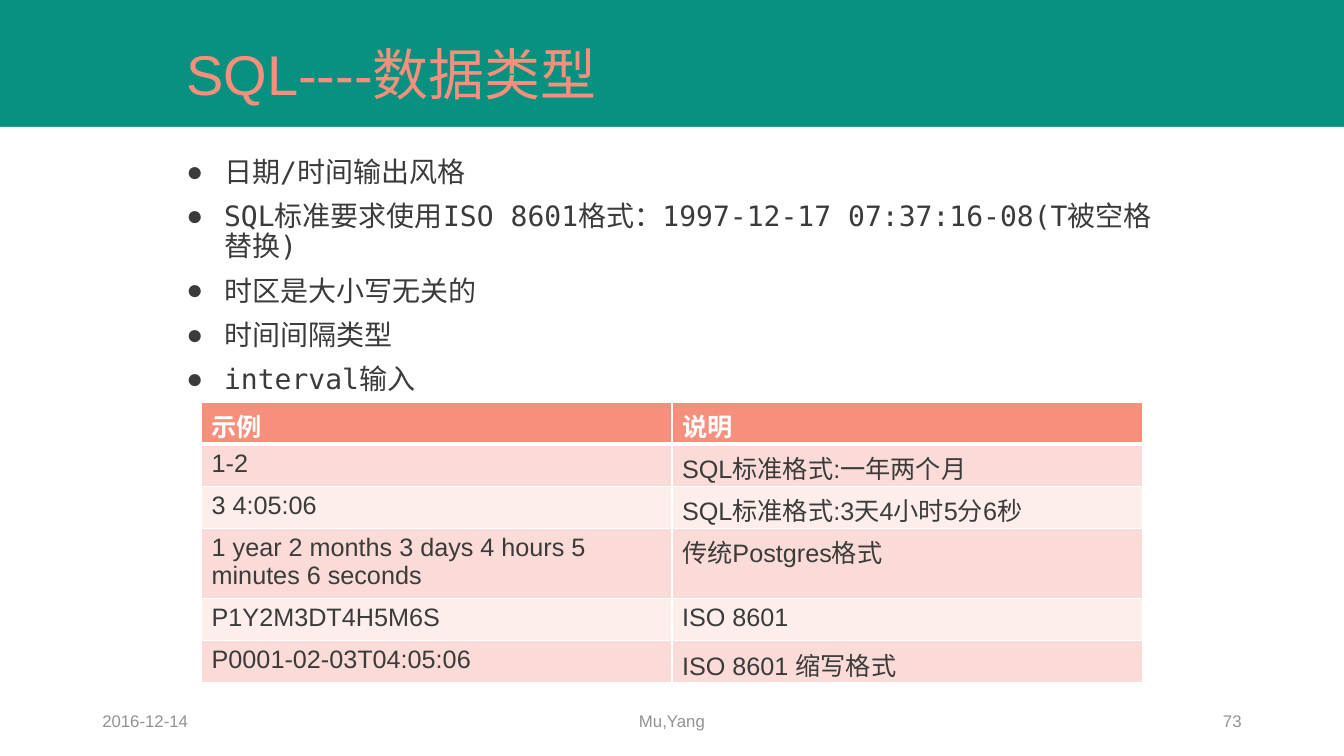
from lxml.etree import SubElement
from pptx import Presentation
from pptx.dml.color import RGBColor
from pptx.enum.shapes import MSO_SHAPE as Shape
from pptx.enum.text import MSO_ANCHOR as Anchor, PP_ALIGN as Align
from pptx.oxml.ns import qn
from pptx.util import Inches, Pt

SLIDE_WIDTH = Inches(13.333)
SLIDE_HEIGHT = Inches(7.5)
COLUMNS, ROWS = 160, 90

TEAL = RGBColor(0x07, 0x91, 0x80)
CORAL = RGBColor(0xF6, 0x8F, 0x7C)
PINK = RGBColor(0xFB, 0xDB, 0xD7)
PALE_PINK = RGBColor(0xFD, 0xEE, 0xEC)
WHITE = RGBColor(0xFF, 0xFF, 0xFF)
INK = RGBColor(0x3B, 0x3B, 0x3B)
GREY = RGBColor(0x92, 0x92, 0x92)

SANS = "Arial"
MONO = "DejaVu Sans Mono"

POINTS = [
    "日期/时间输出风格",
    "SQL标准要求使用ISO 8601格式：1997-12-17 07:37:16-08(T被空格替换)",
    "时区是大小写无关的",
    "时间间隔类型",
    "interval输入",
]
INTERVALS = [
    ("示例", "说明"),
    ("1-2", "SQL标准格式:一年两个月"),
    ("3 4:05:06", "SQL标准格式:3天4小时5分6秒"),
    ("1 year 2 months 3 days 4 hours 5 minutes 6 seconds", "传统Postgres格式"),
    ("P1Y2M3DT4H5M6S", "ISO 8601"),
    ("P0001-02-03T04:05:06", "ISO 8601 缩写格式"),
]
INTERVAL_ROWS = [5, 5, 5, 8.4, 5, 5]
FOOTERS = [
    ("2016-12-14", 11, 36, Align.LEFT),
    ("Mu,Yang", 53, 54, Align.CENTER),
    ("73", 113, 36, Align.RIGHT),
]


def across(columns):
    return round(SLIDE_WIDTH * columns / COLUMNS)


def down(rows):
    return round(SLIDE_HEIGHT * rows / ROWS)


def area(left, top, width, height):
    return across(left), down(top), across(width), down(height)


def add_run(paragraph, text, size, color, font=SANS, bold=False):
    run = paragraph.add_run()
    run.text = text
    run.font.size = Pt(size)
    run.font.name = font
    run.font.bold = bold
    run.font.color.rgb = color


def add_text_frame(slide, place, anchor=Anchor.MIDDLE):
    frame = slide.shapes.add_textbox(*area(*place)).text_frame
    frame.word_wrap = True
    frame.vertical_anchor = anchor
    return frame


def add_page(slide):
    slide.background.fill.solid()
    slide.background.fill.fore_color.rgb = TEAL
    page = slide.shapes.add_shape(Shape.RECTANGLE, *area(0, 15.12, COLUMNS, 74.88))
    page.shadow.inherit = False
    page.fill.solid()
    page.fill.fore_color.rgb = WHITE
    page.line.fill.background()


def add_title(slide, text):
    heading = add_text_frame(slide, (21, 2.16, 115.5, 14.16)).paragraphs[0]
    heading.line_spacing = 0.9
    add_run(heading, text, 40, CORAL)


def add_bullets(slide, points):
    frame = add_text_frame(slide, (21, 18.24, 120.4, 65.16), Anchor.TOP)
    for index, point in enumerate(points):
        bullet = frame.add_paragraph() if index else frame.paragraphs[0]
        bullet.line_spacing = 0.9
        bullet.space_before = Pt(10 if index else 0)
        properties = bullet._p.get_or_add_pPr()
        properties.set("marL", str(across(4.5)))
        properties.set("indent", str(-across(4.5)))
        SubElement(properties, qn("a:buFont"), typeface=SANS)
        SubElement(properties, qn("a:buChar"), char="●")
        add_run(bullet, point, 20, INK, MONO)


def add_border(cell, side, points):
    border = SubElement(cell._tc.get_or_add_tcPr(), qn(f"a:ln{side}"), w=str(Pt(points)))
    fill = SubElement(border, qn("a:solidFill"))
    SubElement(fill, qn("a:srgbClr"), val=str(WHITE))


def fill_cell(cell, text, row):
    header = row == 0
    for side in "LRTB":
        thick = (header and side == "B") or (row == 1 and side == "T")
        add_border(cell, side, 3 if thick else 1)
    cell.fill.solid()
    cell.fill.fore_color.rgb = CORAL if header else PINK if row % 2 else PALE_PINK
    add_run(cell.text_frame.paragraphs[0], text, 18, WHITE if header else INK, bold=header)


def add_interval_table(slide):
    place = area(24, 47.88, 112, sum(INTERVAL_ROWS))
    table = slide.shapes.add_table(len(INTERVALS), 2, *place).table
    for row, (texts, height) in enumerate(zip(INTERVALS, INTERVAL_ROWS)):
        table.rows[row].height = down(height)
        for column, text in enumerate(texts):
            fill_cell(table.cell(row, column), text, row)


def add_footer(slide, text, left, width, align):
    footer = add_text_frame(slide, (left, 83.4, width, 4.8)).paragraphs[0]
    footer.alignment = align
    add_run(footer, text, 12, GREY)


def main():
    deck = Presentation()
    deck.slide_width = SLIDE_WIDTH
    deck.slide_height = SLIDE_HEIGHT
    slide = deck.slides.add_slide(deck.slide_layouts[6])
    add_page(slide)
    add_title(slide, "SQL----数据类型")
    add_bullets(slide, POINTS)
    for footer in FOOTERS:
        add_footer(slide, *footer)
    add_interval_table(slide)
    deck.save("out.pptx")


if __name__ == "__main__":
    main()
